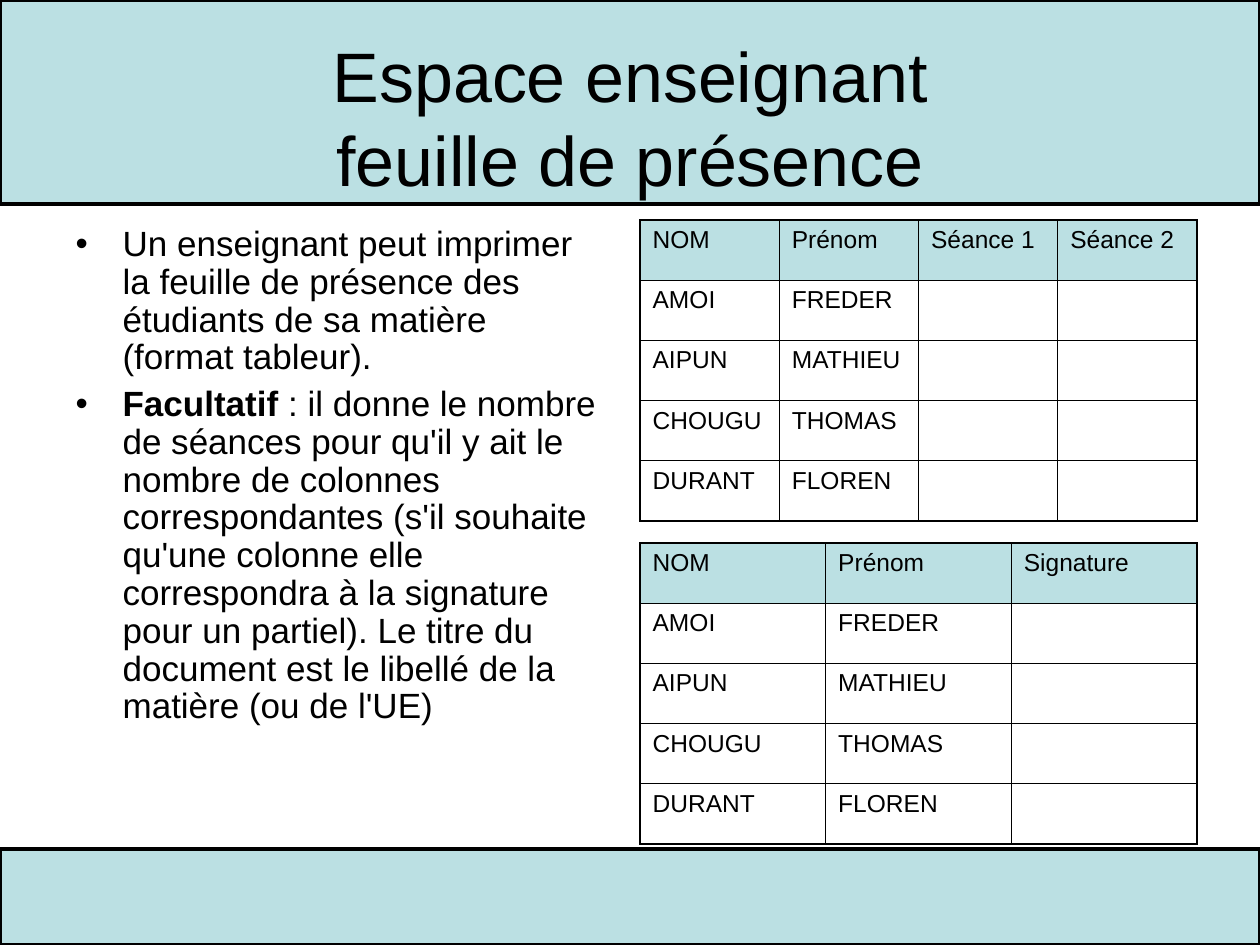
from lxml import etree
from pptx import Presentation
from pptx.dml.color import RGBColor
from pptx.enum.shapes import MSO_SHAPE
from pptx.enum.text import MSO_ANCHOR, MSO_AUTO_SIZE, PP_ALIGN
from pptx.oxml.ns import qn
from pptx.util import Emu, Pt

RECTANGLE = MSO_SHAPE.RECTANGLE
TOP, MIDDLE = MSO_ANCHOR.TOP, MSO_ANCHOR.MIDDLE
NO_AUTOFIT = MSO_AUTO_SIZE.NONE
LEFT, CENTER = PP_ALIGN.LEFT, PP_ALIGN.CENTER

BLACK = RGBColor(0x00, 0x00, 0x00)
PALE_TEAL = RGBColor(0xBB, 0xE0, 0xE3)
FONT = "Arial"
EMU_PER_INCH, PX_PER_INCH = 914400, 126
INNER_LINE, OUTER_LINE = 0.45, 1.08

TITLE_LINES = ["Espace enseignant", "feuille de présence"]
EXPLANATIONS = [
    [("Un enseignant peut imprimer la feuille de présence des étudiants "
      "de sa matière (format tableur).", False)],
    [("Facultatif", True),
     (" : il donne le nombre de séances pour qu'il y ait le nombre de colonnes "
      "correspondantes (s'il souhaite qu'une colonne elle correspondra à la "
      "signature pour un partiel). Le titre du document est le libellé de la "
      "matière (ou de l'UE)", False)],
]
STUDENTS = [("AMOI", "FREDER"), ("AIPUN", "MATHIEU"),
            ("CHOUGU", "THOMAS"), ("DURANT", "FLOREN")]
SHEETS = [
    (["NOM", "Prénom", "Séance 1", "Séance 2"], (640, 220, 557, 301)),
    (["NOM", "Prénom", "Signature"], (640, 543, 557, 301)),
]


def px(length):
    return Emu(round(length * EMU_PER_INCH / PX_PER_INCH))


def move(placeholder, box):
    placeholder.left, placeholder.top, placeholder.width, placeholder.height = map(px, box)


def style(font, size, bold=False):
    font.name = FONT
    font.size = Pt(size)
    font.bold = bold
    font.color.rgb = BLACK


def add_band(slide, box):
    band = slide.shapes.add_shape(RECTANGLE, *map(px, box))
    band.shadow.inherit = False
    band.fill.solid()
    band.fill.fore_color.rgb = PALE_TEAL
    band.line.color.rgb = BLACK
    band.line.width = Pt(2.25)
    slide.shapes.title.element.addprevious(band.element)


def fill_title(title, box):
    move(title, box)
    frame = title.text_frame
    frame.word_wrap = True
    frame.auto_size = NO_AUTOFIT
    frame.vertical_anchor = MIDDLE
    heading = frame.paragraphs[0]
    heading.alignment = CENTER
    for index, line in enumerate(TITLE_LINES):
        if index:
            heading.add_line_break()
        run = heading.add_run()
        run.text = line
        style(run.font, 40)


def add_bullet(paragraph, indent):
    properties = paragraph._p.get_or_add_pPr()
    properties.set("marL", str(px(indent)))
    properties.set("indent", str(-px(indent)))
    color = etree.SubElement(properties, qn("a:buClr"))
    etree.SubElement(color, qn("a:srgbClr"), val=str(BLACK))
    etree.SubElement(properties, qn("a:buFont"), typeface=FONT)
    etree.SubElement(properties, qn("a:buChar"), char="•")


def fill_explanations(body, box):
    move(body, box)
    frame = body.text_frame
    frame.word_wrap = True
    frame.auto_size = NO_AUTOFIT
    frame.vertical_anchor = TOP
    for index, parts in enumerate(EXPLANATIONS):
        explanation = frame.add_paragraph() if index else frame.paragraphs[0]
        add_bullet(explanation, 47)
        explanation.alignment = LEFT
        explanation.line_spacing = 0.9
        explanation.space_before = Pt(5 if index else 0)
        for text, bold in parts:
            run = explanation.add_run()
            run.text = text
            style(run.font, 20, bold)


def set_borders(cell, outer_sides):
    properties = cell._tc.get_or_add_tcPr()
    for side, is_outer in zip("LRTB", outer_sides):
        width = Pt(OUTER_LINE if is_outer else INNER_LINE)
        border = etree.SubElement(properties, qn(f"a:ln{side}"), w=str(width))
        fill = etree.SubElement(border, qn("a:solidFill"))
        etree.SubElement(fill, qn("a:srgbClr"), val=str(BLACK))


def add_sheet(slide, headings, box):
    row_count, column_count = len(STUDENTS) + 1, len(headings)
    sheet = slide.shapes.add_table(row_count, column_count, *map(px, box)).table
    sheet.first_row = False
    sheet.horz_banding = False
    for column in sheet.columns:
        column.width = px(box[2] / column_count)
    for row in sheet.rows:
        row.height = px(box[3] / row_count)
    for r, entries in enumerate([headings, *STUDENTS]):
        for c in range(column_count):
            cell = sheet.cell(r, c)
            set_borders(cell, (c == 0, c == column_count - 1, r == 0, r == row_count - 1))
            if r == 0:
                cell.fill.solid()
                cell.fill.fore_color.rgb = PALE_TEAL
            else:
                cell.fill.background()
            if c < len(entries):
                run = cell.text_frame.paragraphs[0].add_run()
                run.text = entries[c]
                style(run.font, 14)


def main():
    deck = Presentation()
    deck.slide_width, deck.slide_height = px(1260), px(945)
    slide = deck.slides.add_slide(deck.slide_layouts[1])
    add_band(slide, (0, 849, 1260, 96))
    add_band(slide, (0, 0, 1260, 204))
    fill_title(slide.shapes.title, (63, 38, 1134, 157))
    fill_explanations(slide.placeholders[1], (63, 220, 557, 624))
    for headings, box in SHEETS:
        add_sheet(slide, headings, box)
    deck.save("out.pptx")


if __name__ == "__main__":
    main()
